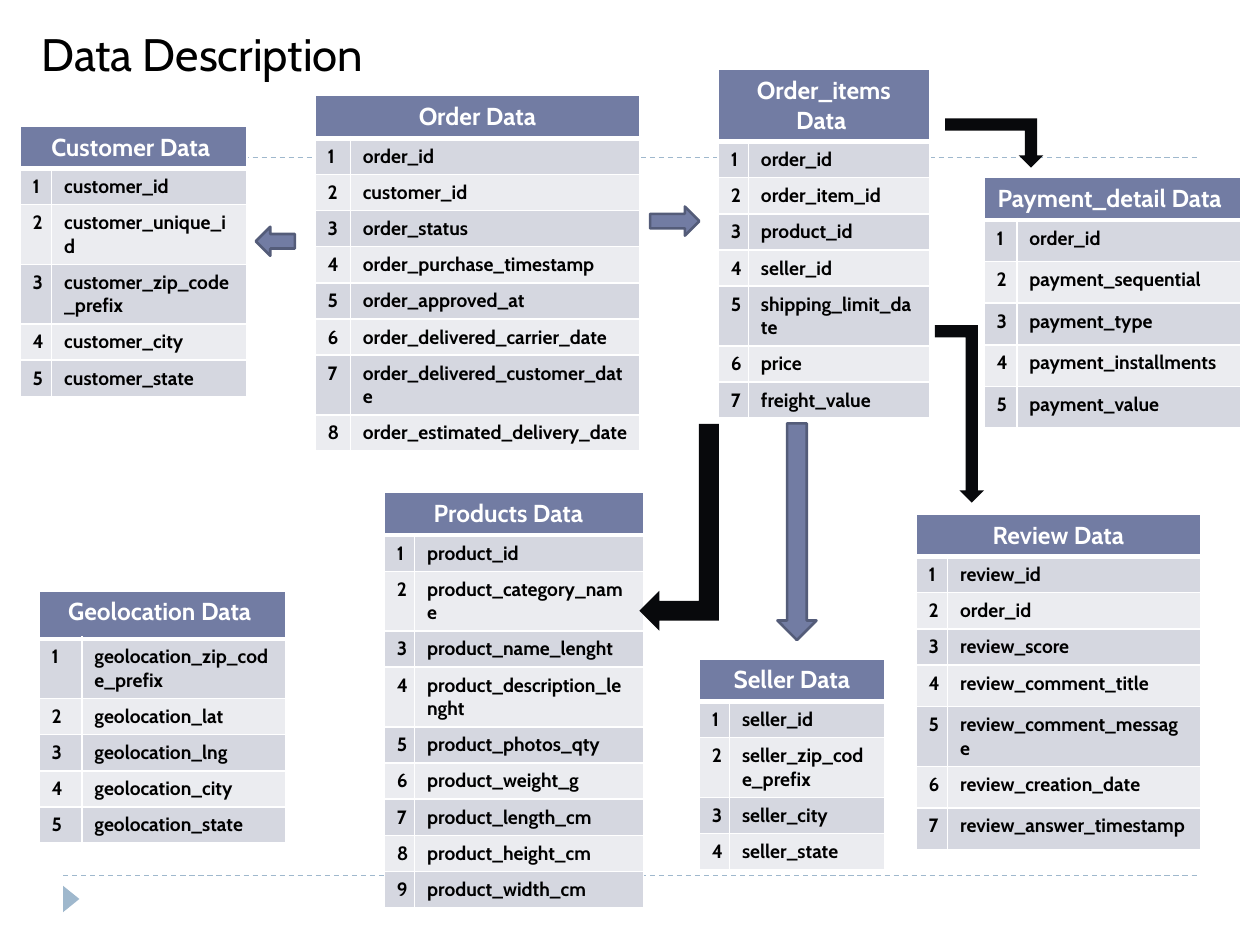
"""Builds the data description slide: eight field tables joined by arrows."""
from lxml.etree import SubElement
from pptx import Presentation
from pptx.dml.color import RGBColor
from pptx.enum.dml import MSO_LINE
from pptx.enum.shapes import MSO_CONNECTOR, MSO_SHAPE
from pptx.enum.text import PP_ALIGN
from pptx.oxml.ns import qn
from pptx.util import Inches, Pt

WIDTH, HEIGHT = 10, 7.5
COLORS = {"header": "727CA3", "odd": "D5D7E0", "even": "EBECF0", "outline": "545C79",
          "rule": "9FB8CD", "dark": "08090C", "white": "FFFFFF", "black": "000000"}
FORMATS = {
    "title": {"size": Pt(26), "name": "Cabin", "bold": False},
    "header": {"size": Pt(14), "name": "Cabin", "bold": True},
    "field": {"size": Pt(11), "name": "Cabin", "bold": True},
}

# heading, (left, top), column widths, header height, (row height, count) groups, fields
TABLES = [
    ("Customer Data ", (0.16, 1), (0.25, 1.55), 0.33, [(0.26, 2), (0.28, 1), (0.26, 2)],
     ["customer_id", "customer_unique_id", "customer_zip_code_prefix", "customer_city",
      "customer_state"]),
    ("Geolocation Data ", (0.31, 4.69), (0.34, 1.62), 0.38, [(0.28, 5)],
     ["geolocation_zip_code_prefix", "geolocation_lat", "geolocation_lng",
      "geolocation_city", "geolocation_state"]),
    ("Order_items Data ", (5.7, 0.55), (0.23, 1.44), 0.27, [(0.27, 7)],
     ["order_id", "order_item_id", "product_id", "seller_id", "shipping_limit_date",
      "price", "freight_value"]),
    ("Payment_detail Data ", (7.81, 1.41), (0.26, 1.78), 0.33, [(0.33, 5)],
     ["order_id", "payment_sequential", "payment_type", "payment_installments",
      "payment_value"]),
    ("Order Data", (2.5, 0.76), (0.28, 2.3), 0.28, [(0.28, 8)],
     ["order_id", "customer_id", "order_status", "order_purchase_timestamp",
      "order_approved_at", "order_delivered_carrier_date",
      "order_delivered_customer_date", "order_estimated_delivery_date"]),
    ("Review Data", (7.27, 4.08), (0.25, 2.01), 0.26, [(0.26, 3), (0.33, 4)],
     ["review_id", "order_id", "review_score", "review_comment_title",
      "review_comment_message", "review_creation_date", "review_answer_timestamp"]),
    ("Products Data  ", (3.05, 3.91), (0.23, 1.82), 0.29, [(0.25, 9)],
     ["product_id", "product_category_name", "product_name_lenght",
      "product_description_lenght", "product_photos_qty", "product_weight_g",
      "product_length_cm", "product_height_cm", "product_width_cm"]),
    ("Seller Data", (5.55, 5.23), (0.23, 1.23), 0.28, [(0.28, 4)],
     ["seller_id ", "seller_zip_code_prefix", "seller_city ", "seller_state"]),
]

# preset, (left, top, width, height), rotation, fill, line
SHAPES = [
    (MSO_SHAPE.ISOSCELES_TRIANGLE, (0.46, 7.07, 0.21, 0.13), 90, "rule", None),
    (MSO_SHAPE.RIGHT_ARROW, (2.03, 1.8, 0.31, 0.23), 180, "header", "outline"),
    (MSO_SHAPE.RIGHT_ARROW, (5.16, 1.64, 0.39, 0.23), 0, "header", "outline"),
    (MSO_SHAPE.BENT_UP_ARROW, (7.5, 0.94, 0.78, 0.39), 0, "dark", None),
    (MSO_SHAPE.BENT_UP_ARROW, (7.42, 2.58, 0.39, 1.41), 0, "dark", None),
    (MSO_SHAPE.DOWN_ARROW, (6.17, 3.36, 0.31, 1.72), 0, "header", "outline"),
    (MSO_SHAPE.BENT_UP_ARROW, (4.57, 3.87, 1.64, 0.63), 90, "dark", None),
]
RULES = [1.25, 6.95]


def color(name):
    return RGBColor.from_string(COLORS[name])


def write(frame, text, style, ink, align=PP_ALIGN.LEFT):
    para = frame.paragraphs[0]
    para.alignment = align
    span = para.add_run()
    span.text = text
    for key, value in FORMATS[style].items():
        setattr(span.font, key, value)
    span.font.color.rgb = color(ink)


def dress(cell, fill, bottom=1):
    properties = cell._tc.get_or_add_tcPr()
    for side, points in (("L", 1), ("R", 1), ("T", 1), ("B", bottom)):
        edge = SubElement(properties, qn("a:ln" + side), w=str(Pt(points)))
        solid = SubElement(edge, qn("a:solidFill"))
        SubElement(solid, qn("a:srgbClr"), val=COLORS["white"])
    cell.fill.solid()
    cell.fill.fore_color.rgb = color(fill)


def add_rule(page, top):
    rule = page.shapes.add_connector(MSO_CONNECTOR.STRAIGHT, Inches(0.05 * WIDTH),
                                     Inches(top), Inches(0.95 * WIDTH), Inches(top))
    rule.line.color.rgb = color("rule")
    rule.line.width = Pt(0.75)
    rule.line.dash_style = MSO_LINE.DASH
    SubElement(rule._element.spPr, qn("a:effectLst"))


def add_fields(page, heading, corner, columns, header, groups, fields):
    heights = [header] + [height for height, count in groups for _ in range(count)]
    size = sum(columns), sum(heights)
    table = page.shapes.add_table(len(heights), len(columns),
                                  *map(Inches, corner + size)).table
    for column, width in zip(table.columns, columns):
        column.width = Inches(width)
    for row, height in zip(table.rows, heights):
        row.height = Inches(height)
    for cell in table.rows[0].cells:
        dress(cell, "header", bottom=3)
    table.cell(0, 0).merge(table.cell(0, 1))
    write(table.cell(0, 0).text_frame, heading, "header", "white", PP_ALIGN.CENTER)
    for number, field in enumerate(fields, 1):
        for cell, text in zip(table.rows[number].cells, (str(number), field)):
            dress(cell, "odd" if number % 2 else "even")
            write(cell.text_frame, text, "field", "black")


def add_preset(page, preset, place, rotation, fill, line):
    shape = page.shapes.add_shape(preset, *map(Inches, place))
    shape.shadow.inherit = False
    shape.rotation = rotation
    shape.fill.solid()
    shape.fill.fore_color.rgb = color(fill)
    if preset == MSO_SHAPE.BENT_UP_ARROW:
        shape._element.spPr.find(qn("a:xfrm")).set("flipV", "1")
    if line:
        shape.line.color.rgb = color(line)
        shape.line.width = Pt(1.5)
    else:
        shape.line.fill.background()


deck = Presentation()
deck.slide_width, deck.slide_height = Inches(WIDTH), Inches(HEIGHT)
page = deck.slides.add_slide(deck.slide_layouts[6])
for top in RULES:
    add_rule(page, top)
for table in TABLES:
    add_fields(page, *table)
for shape in SHAPES:
    add_preset(page, *shape)
box = page.shapes.add_textbox(*map(Inches, (0.23, 0.16, 4.14, 0.54)))
box.text_frame.word_wrap = True
write(box.text_frame, "Data Description", "title", "black")
deck.save("out.pptx")
